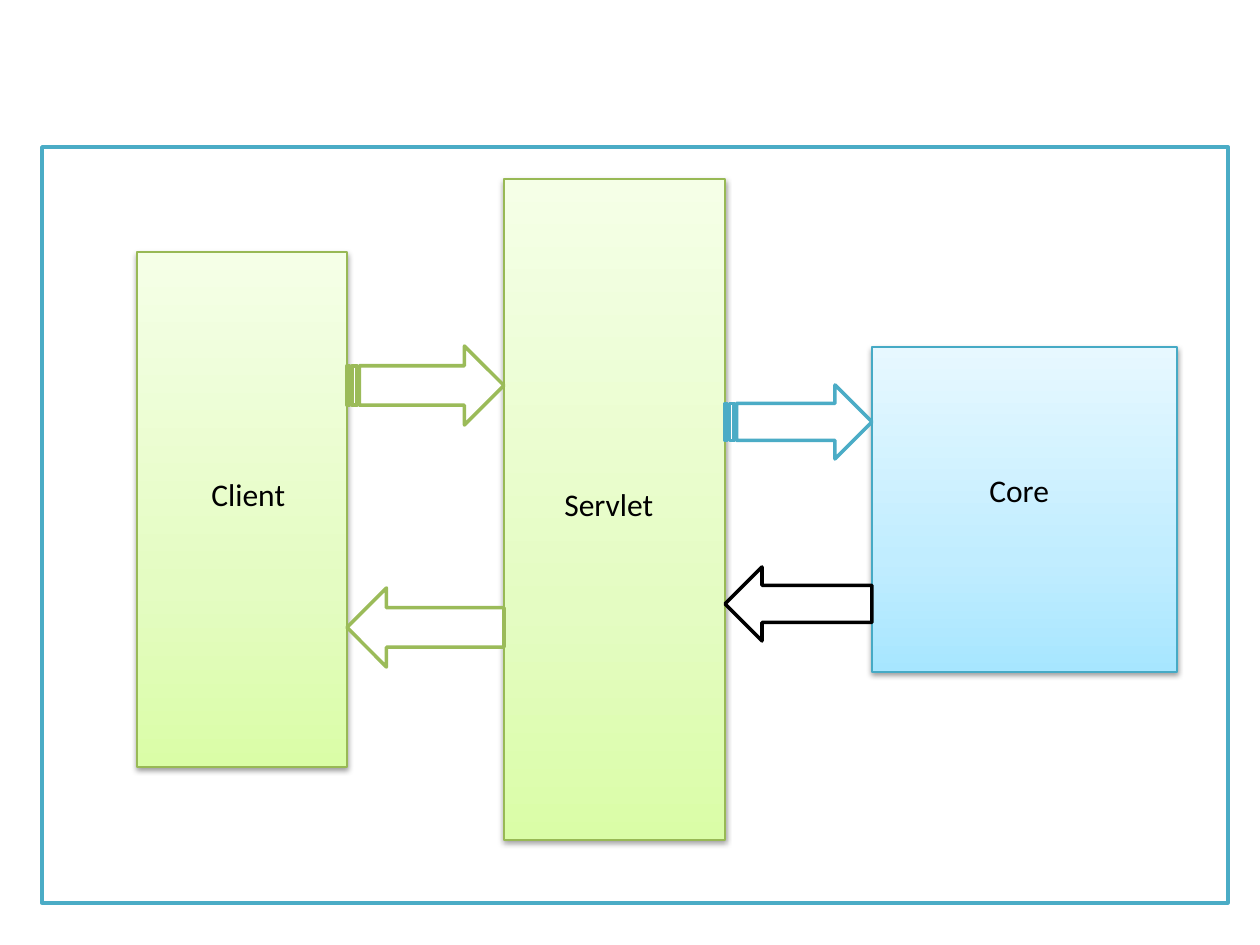
from copy import deepcopy
from dataclasses import dataclass

from lxml import etree
from pptx import Presentation, util as u
from pptx.dml.color import RGBColor
from pptx.enum import shapes, text
from pptx.oxml import ns

PIXELS_PER_INCH = 126


@dataclass(frozen=True)
class Theme:
    """Colours, gradients and sizes of the slide."""
    font: str = "Calibri"
    label_size: int = 18
    white: str = "FFFFFF"
    black: str = "000000"
    green: str = "9BBB59"
    blue: str = "4BACC6"
    green_edge: str = "98B955"
    blue_edge: str = "46AAC5"
    green_gradient: tuple = ("DAFDA7", "E4FCC2", "F5FFE7")
    blue_gradient: tuple = ("A7E6FF", "C1EDFF", "E7F8FF")
    gradient_positions: tuple = (0, 0.35, 1)
    thick: float = 2
    thin: float = 0.75


@dataclass(frozen=True)
class Box:
    """A rectangle in pixels."""
    left: int
    top: int
    width: int
    height: int

    @property
    def right(self):
        """Return the right edge."""
        return self.left + self.width

    def emu(self):
        """Return left, top, width and height in EMU."""
        scale = u.Inches(1) / PIXELS_PER_INCH
        return [u.Emu(round(length * scale))
                for length in (self.left, self.top, self.width, self.height)]


THEME = Theme()
FRAME = Box(42, 147, 1186, 756)
CORE = Box(872, 347, 305, 325)
SERVLET = Box(504, 179, 221, 661)
CLIENT = Box(137, 252, 210, 515)


def add_outlined(slide, kind, box, line_color, line_width=THEME.thick):
    """Add a white preset shape with a coloured outline."""
    shape = slide.shapes.add_shape(kind, *box.emu())
    shape.shadow.inherit = False
    shape.fill.solid()
    shape.fill.fore_color.rgb = RGBColor.from_string(THEME.white)
    shape.line.color.rgb = RGBColor.from_string(line_color)
    shape.line.width = u.Pt(line_width)
    return shape


def add_shadow(shape):
    """Give the shape a soft shadow straight below it."""
    effects = shape.element.spPr.find(ns.qn("a:effectLst"))
    shadow = etree.SubElement(effects, ns.qn("a:outerShdw"), blurRad="40000",
                              dist="20000", dir="5400000", rotWithShape="0")
    color = etree.SubElement(shadow, ns.qn("a:srgbClr"), val=THEME.black)
    etree.SubElement(color, ns.qn("a:alpha"), val="38000")


def add_component(slide, box, gradient, edge):
    """Add a rectangle with an upward gradient and a shadow."""
    shape = add_outlined(slide, shapes.MSO_SHAPE.RECTANGLE, box, edge, THEME.thin)
    shape.fill.gradient()
    shape.fill.gradient_angle = 90
    stop_list = shape.element.spPr.find(".//" + ns.qn("a:gsLst"))
    stop_list.append(deepcopy(stop_list[-1]))
    for stop, color, position in zip(shape.fill.gradient_stops, gradient,
                                     THEME.gradient_positions):
        stop.color.rgb = RGBColor.from_string(color)
        stop.position = position
    add_shadow(shape)


def add_label(slide, wording, box):
    """Add a left-aligned text label."""
    frame = slide.shapes.add_textbox(*box.emu()).text_frame
    frame.word_wrap = True
    frame.auto_size = text.MSO_AUTO_SIZE.SHAPE_TO_FIT_TEXT
    frame.text = wording
    font = frame.paragraphs[0].runs[0].font
    font.name = THEME.font
    font.size = u.Pt(THEME.label_size)
    font.color.rgb = RGBColor.from_string(THEME.black)


def add_arrow(slide, kind, before, after, top, height, color):
    """Add a block arrow that fills the gap between two components."""
    box = Box(before.right, top, after.left - before.right, height)
    add_outlined(slide, kind, box, color)


def main():
    """Build and save the slide."""
    presentation = Presentation()
    presentation.slide_width = u.Inches(10)
    presentation.slide_height = u.Inches(7.5)
    slide = presentation.slides.add_slide(presentation.slide_layouts[6])

    add_outlined(slide, shapes.MSO_SHAPE.RECTANGLE, FRAME, THEME.blue)
    add_component(slide, CORE, THEME.blue_gradient, THEME.blue_edge)
    for box in (SERVLET, CLIENT):
        add_component(slide, box, THEME.green_gradient, THEME.green_edge)

    for wording, box in (("Core", Box(977, 465, 179, 50)),
                         ("Servlet", Box(552, 479, 126, 50)),
                         ("Client", Box(199, 469, 147, 50))):
        add_label(slide, wording, box)

    request = shapes.MSO_SHAPE.STRIPED_RIGHT_ARROW
    response = shapes.MSO_SHAPE.LEFT_ARROW
    add_arrow(slide, request, CLIENT, SERVLET, 346, 79, THEME.green)
    add_arrow(slide, request, SERVLET, CORE, 385, 74, THEME.blue)
    add_arrow(slide, response, SERVLET, CORE, 567, 74, THEME.black)
    add_arrow(slide, response, CLIENT, SERVLET, 588, 79, THEME.green)

    presentation.save("out.pptx")


if __name__ == "__main__":
    main()
